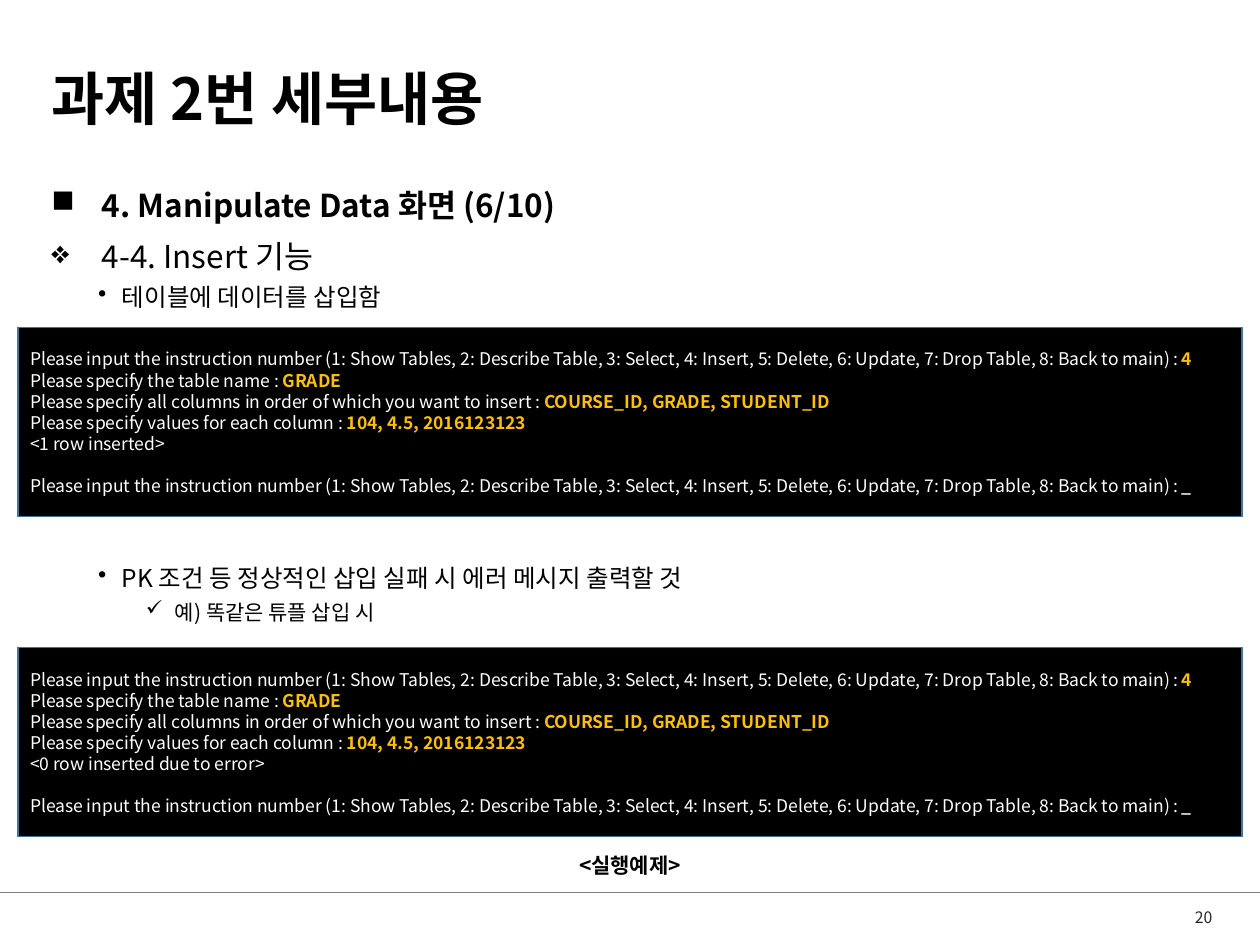
from lxml.etree import SubElement
from pptx import Presentation
from pptx.dml.color import RGBColor
from pptx.enum.shapes import MSO_CONNECTOR, MSO_SHAPE
from pptx.enum.text import MSO_ANCHOR, PP_ALIGN
from pptx.oxml.ns import qn
from pptx.util import Inches, Pt

COLORS = {"ink": "000000", "console": "000000", "border": "43739E", "output": "FFFFFF",
          "entry": "FFC000", "rule": "808080", "number": "262626"}
FONT = "Noto Sans CJK KR"
COLUMNS, ROWS = 100, 75

MENU = ("Please input the instruction number (1: Show Tables, 2: Describe Table, 3: Select, "
        "4: Insert, 5: Delete, 6: Update, 7: Drop Table, 8: Back to main) : ")
ENTRIES = [(MENU, "4"),
           ("Please specify the table name : ", "GRADE"),
           ("Please specify all columns in order of which you want to insert : ",
            "COURSE_ID, GRADE, STUDENT_ID"),
           ("Please specify values for each column : ", "104, 4.5, 2016123123")]

# text, bullet, size, bold, left margin, hanging indent (inches), space before (points)
OUTLINE = [("4. Manipulate Data 화면 (6/10)", "■", 18, True, 0.4, 0.4, 7.5),
           ("4-4. Insert 기능", "❖", 18, False, 0.4, 0.4, 7.5),
           ("테이블에 데이터를 삽입함", "•", 14, False, 0.56, 0.19, 3.8),
           ("PK 조건 등 정상적인 삽입 실패 시 에러 메시지 출력할 것", "•", 14, False, 0.56, 0.19, 144),
           ("예) 똑같은 튜플 삽입 시", "✓", 12, False, 0.98, 0.23, 3.8)]


class SlideBuilder:
    def __init__(self, deck):
        self.page = deck.slides.add_slide(deck.slide_layouts[6])
        self.column = deck.slide_width / COLUMNS
        self.row = deck.slide_height / ROWS

    def place(self, left, top, width, height):
        return (round(left * self.column), round(top * self.row),
                round(width * self.column), round(height * self.row))

    def style(self, span, size, color="ink", bold=False):
        span.font.name = FONT
        span.font.size = Pt(size)
        span.font.bold = bold
        span.font.color.rgb = RGBColor.from_string(COLORS[color])
        SubElement(span._r.get_or_add_rPr(), qn("a:ea"), typeface=FONT)

    def rule(self, top):
        x, y, width, _ = self.place(0, top, COLUMNS, 0)
        line = self.page.shapes.add_connector(MSO_CONNECTOR.STRAIGHT, x, y, x + width, y)
        line.line.color.rgb = RGBColor.from_string(COLORS["rule"])
        line.line.width = Pt(0.5)
        SubElement(line._element.spPr, qn("a:effectLst"))

    def text(self, area, words, size, color="ink", bold=False, align=PP_ALIGN.LEFT,
             anchor=MSO_ANCHOR.MIDDLE, wrap=True, spacing=1.0):
        frame = self.page.shapes.add_textbox(*self.place(*area)).text_frame
        frame.word_wrap = wrap
        frame.vertical_anchor = anchor
        para = frame.paragraphs[0]
        para.text = words
        para.alignment = align
        para.line_spacing = spacing
        self.style(para.runs[0], size, color, bold)

    def outline(self, area, items):
        frame = self.page.shapes.add_textbox(*self.place(*area)).text_frame
        frame.word_wrap = True
        frame.text = "\n".join(item[0] for item in items)
        for para, item in zip(frame.paragraphs, items):
            _, bullet, size, bold, margin, hang, before = item
            para.space_before = Pt(before)
            self.style(para.runs[0], size, bold=bold)
            props = para._p.get_or_add_pPr()
            props.set("marL", str(Inches(margin)))
            props.set("indent", str(-Inches(hang)))
            SubElement(props, qn("a:buChar"), char=bullet)

    def console(self, area, result):
        """Draw a terminal session: prompts with entries, a result, then the menu again."""
        box = self.page.shapes.add_shape(MSO_SHAPE.RECTANGLE, *self.place(*area))
        box.shadow.inherit = False
        box.fill.solid()
        box.fill.fore_color.rgb = RGBColor.from_string(COLORS["console"])
        box.line.color.rgb = RGBColor.from_string(COLORS["border"])
        box.line.width = Pt(1)
        frame = box.text_frame
        frame.word_wrap = True
        frame.vertical_anchor = MSO_ANCHOR.MIDDLE
        lines = [*ENTRIES, (result, ""), (MENU, "_")]
        frame.text = "\n".join(prompt for prompt, _ in lines)
        for para, (_, entry) in zip(frame.paragraphs, lines):
            para.alignment = PP_ALIGN.LEFT
            self.style(para.runs[0], 10, "output")
            if entry:
                span = para.add_run()
                span.text = entry
                self.style(span, 10, "output" if entry == "_" else "entry", bold=True)
        para.space_before = Pt(12)


def main():
    deck = Presentation()
    deck.slide_width, deck.slide_height = Inches(10), Inches(7.5)
    slide = SlideBuilder(deck)
    slide.rule(70.8)
    slide.text((3.1, 2.7, 93.8, 10.7), "과제 2번 세부내용", 33, bold=True, spacing=0.9)
    slide.outline((3.1, 14.3, 93.8, 54.9), OUTLINE)
    for top, result in ((26, "<1 row inserted>"), (51.4, "<0 row inserted due to error>")):
        slide.console((1.4, top, 97.2, 15), result)
    slide.text((44.4, 67.2, 11.2, 3), "<실행예제>", 12, bold=True, align=PP_ALIGN.CENTER,
               anchor=MSO_ANCHOR.TOP, wrap=False)
    slide.text((88.6, 71.4, 8.6, 2.8), "20", 9, "number", align=PP_ALIGN.RIGHT)
    deck.save("out.pptx")


if __name__ == "__main__":
    main()
